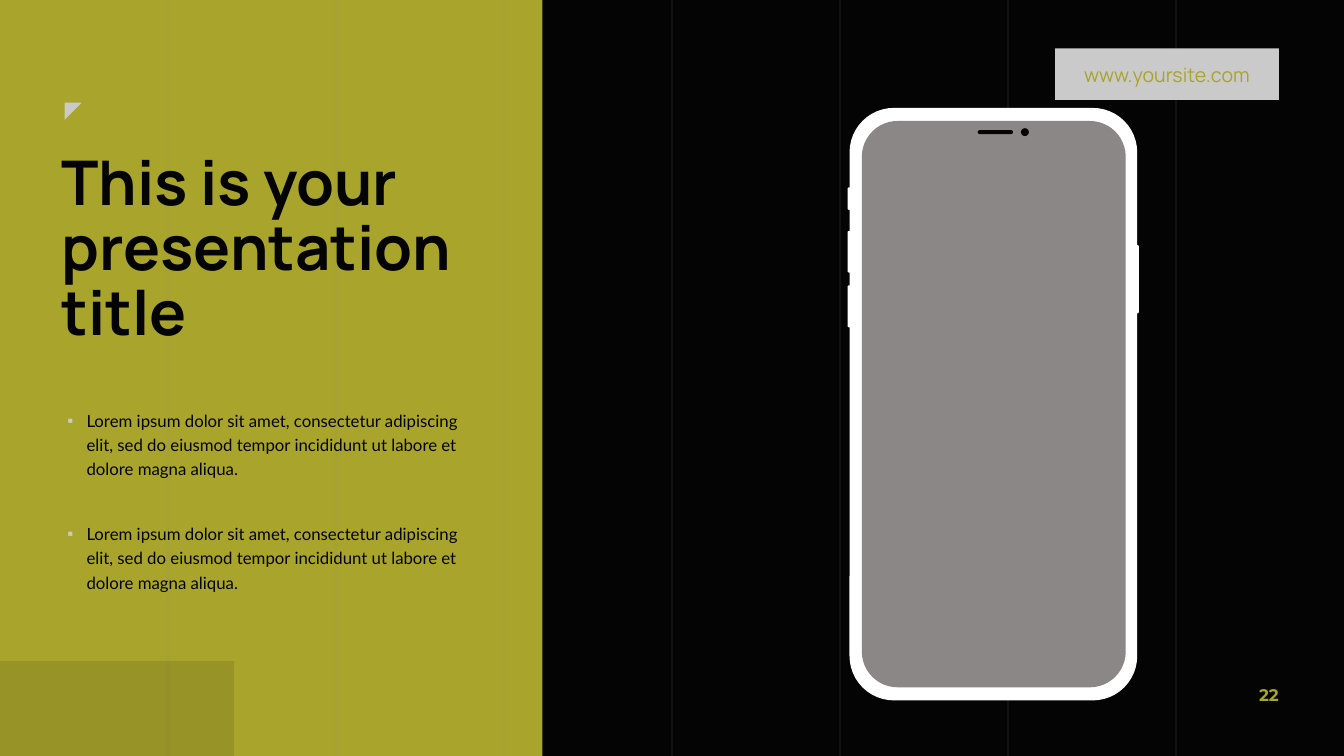
from lxml import etree
from pptx import Presentation
from pptx.dml.color import RGBColor
from pptx.enum.shapes import MSO_CONNECTOR, MSO_SHAPE
from pptx.enum.text import MSO_ANCHOR, MSO_AUTO_SIZE, PP_ALIGN
from pptx.oxml.ns import qn
from pptx.util import Cm, Pt

RECTANGLE = MSO_SHAPE.RECTANGLE
ROUNDED = MSO_SHAPE.ROUNDED_RECTANGLE
TRIANGLE = MSO_SHAPE.RIGHT_TRIANGLE
OVAL = MSO_SHAPE.OVAL
STRAIGHT = MSO_CONNECTOR.STRAIGHT
TOP, MIDDLE = MSO_ANCHOR.TOP, MSO_ANCHOR.MIDDLE
LEFT, CENTER, RIGHT = PP_ALIGN.LEFT, PP_ALIGN.CENTER, PP_ALIGN.RIGHT
NO_AUTOFIT = MSO_AUTO_SIZE.NONE

WIDTH, HEIGHT = 33.87, 19.05
LOREM = ("Lorem ipsum dolor sit amet, consectetur adipiscing elit, sed do eiusmod "
         "tempor incididunt ut labore et dolore magna aliqua.")


def rgb(value):
    return RGBColor.from_string(value)


class SlideBuilder:
    OLIVE, BLACK, SILVER = "A9A42C", "040404", "CACACA"
    GREY, WHITE = "8C8787", "FFFFFF"
    HEADING, BODY, NUMBER = "Manrope", "Lato", "Montserrat"

    def __init__(self, slide):
        self.slide = slide
        slide.background.fill.solid()
        slide.background.fill.fore_color.rgb = rgb(self.OLIVE)

    def fade(self, properties, percent):
        color = properties.find(qn("a:solidFill"))[0]
        etree.SubElement(color, qn("a:alpha"), val=str(percent * 1000))

    def shape(self, kind, left, top, width, height, color, radius=None, opacity=None):
        shape = self.slide.shapes.add_shape(kind, Cm(left), Cm(top), Cm(width), Cm(height))
        shape.shadow.inherit = False
        shape.fill.solid()
        shape.fill.fore_color.rgb = rgb(color)
        shape.line.fill.background()
        if radius is not None:
            shape.adjustments[0] = radius / min(width, height)
        if opacity is not None:
            self.fade(shape._element.spPr, opacity)
        return shape

    def guide(self, x):
        guide = self.slide.shapes.add_connector(STRAIGHT, Cm(x), Cm(0), Cm(x), Cm(HEIGHT))
        guide.line.width = Pt(1.5)
        guide.line.fill.solid()
        guide.line.fill.fore_color.rgb = rgb(self.GREY)
        properties = guide._element.spPr
        self.fade(properties.find(qn("a:ln")), 10)
        etree.SubElement(properties, qn("a:effectLst"))

    def place(self, placeholder, left, top, width, height):
        placeholder.left, placeholder.top = Cm(left), Cm(top)
        placeholder.width, placeholder.height = Cm(width), Cm(height)
        self.slide.shapes._spTree.append(placeholder._element)
        return placeholder

    def text_box(self, left, top, width, height):
        return self.slide.shapes.add_textbox(Cm(left), Cm(top), Cm(width), Cm(height))

    def bullet(self, paragraph):
        properties = paragraph._p.get_or_add_pPr()
        properties.set("marL", str(Cm(0.48)))
        properties.set("indent", str(-Cm(0.48)))
        color = etree.SubElement(properties, qn("a:buClr"))
        etree.SubElement(color, qn("a:srgbClr"), val=self.SILVER)
        etree.SubElement(properties, qn("a:buChar"), char="▪")

    def set_text(self, shape, texts, font, size, color, bold=False, align=LEFT,
                 anchor=TOP, spacing=1.0, gap=0, bullets=False, inset=(0.25, 0.13)):
        frame = shape.text_frame
        frame.word_wrap = True
        frame.auto_size = NO_AUTOFIT
        frame.vertical_anchor = anchor
        frame.margin_left = frame.margin_right = Cm(inset[0])
        frame.margin_top = frame.margin_bottom = Cm(inset[1])
        for index, text in enumerate(texts):
            paragraph = frame.add_paragraph() if index else frame.paragraphs[0]
            if bullets:
                self.bullet(paragraph)
            paragraph.alignment = align
            paragraph.line_spacing = spacing
            paragraph.space_before = Pt(gap if index else 0)
            run = paragraph.add_run()
            run.text = text
            run.font.name = font
            run.font.size = Pt(size)
            run.font.bold = bold
            run.font.color.rgb = rgb(color)


def main():
    presentation = Presentation()
    presentation.slide_width, presentation.slide_height = Cm(WIDTH), Cm(HEIGHT)
    slide = presentation.slides.add_slide(presentation.slide_layouts[1])
    page = SlideBuilder(slide)

    page.shape(RECTANGLE, 13.67, 0, WIDTH - 13.67, HEIGHT, page.BLACK)
    for column in range(1, 8):
        page.guide(column * WIDTH / 8)
    page.shape(RECTANGLE, 0, 16.66, 5.9, HEIGHT - 16.66, page.BLACK, opacity=10)
    corner_mark = page.shape(TRIANGLE, 1.63, 2.59, 0.43, 0.43, page.SILVER)
    corner_mark.rotation = 90

    phone_buttons = [(28.6, 6.17, 1.73), (21.36, 4.72, 0.57),
                     (21.36, 5.82, 1.05), (21.36, 7.19, 1.06)]
    for left, top, height in phone_buttons:
        page.shape(ROUNDED, left, top, 0.1, height, page.WHITE, radius=0.04)
    page.shape(ROUNDED, 21.41, 2.72, 7.25, 14.93, page.WHITE, radius=1.12)
    page.shape(ROUNDED, 21.72, 3.05, 6.65, 14.27, page.GREY, radius=0.9)
    page.shape(ROUNDED, 24.64, 3.28, 0.89, 0.1, page.BLACK, radius=0.05)
    page.shape(OVAL, 25.73, 3.23, 0.2, 0.2, page.BLACK)

    points = page.place(slide.placeholders[1], 1.7, 10.24, 10.21, 4.7)
    page.set_text(points, [LOREM, LOREM], page.BODY, 12, page.BLACK,
                  spacing=1.2, gap=29.3, bullets=True, inset=(0, 0))
    title = page.place(slide.shapes.title, 1.3, 3.73, 11.3, 5.89)
    page.set_text(title, ["This is your presentation", "title"], page.HEADING, 44,
                  page.BLACK, bold=True, spacing=0.88)
    page_number = page.text_box(31.34, 16.99, 1.14, 1.02)
    page.set_text(page_number, ["22"], page.NUMBER, 12, page.OLIVE,
                  bold=True, align=RIGHT, anchor=MIDDLE)
    site_address = page.shape(RECTANGLE, 26.59, 1.22, 5.64, 1.3, page.SILVER)
    page.set_text(site_address, ["www.yoursite.com"], page.HEADING, 14, page.OLIVE,
                  align=CENTER, anchor=MIDDLE)

    presentation.save("out.pptx")


if __name__ == "__main__":
    main()
